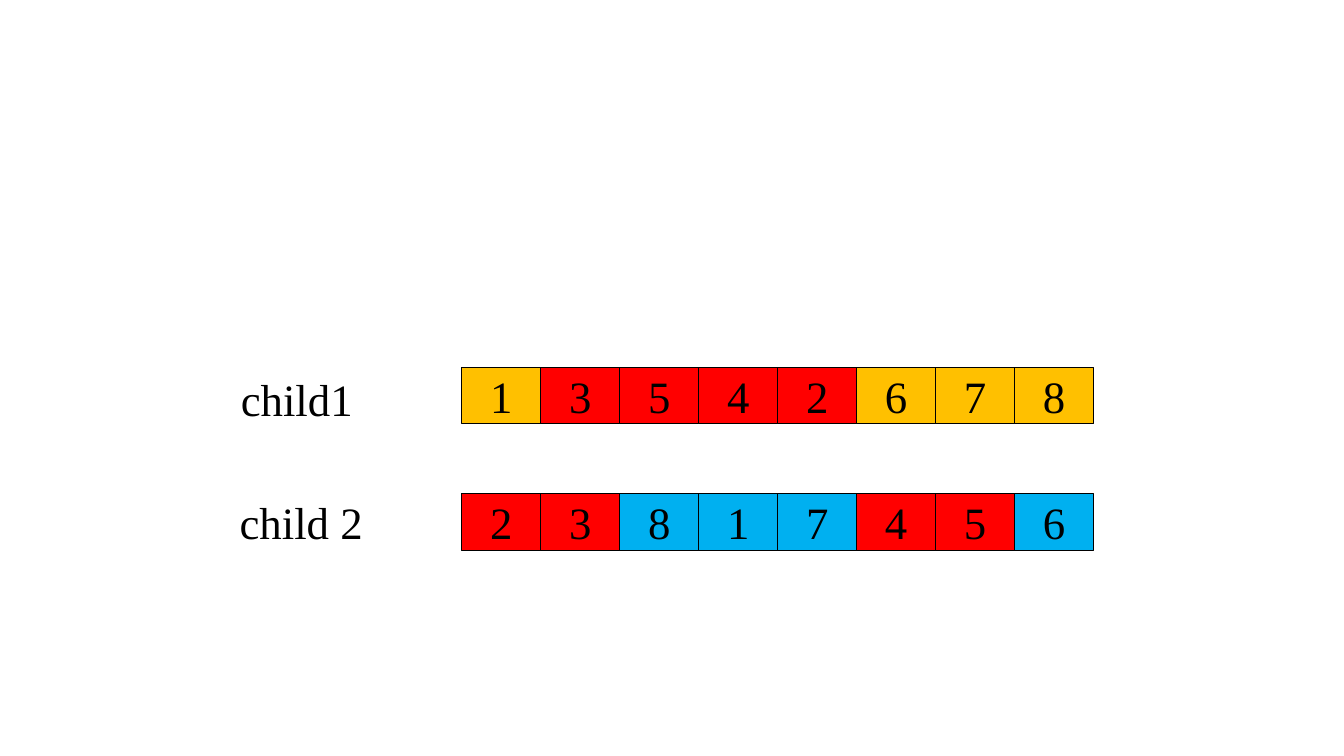
from pptx import Presentation
from pptx.dml.color import RGBColor
from pptx.enum.shapes import MSO_SHAPE as Shape
from pptx.enum.text import MSO_ANCHOR as Anchor, MSO_AUTO_SIZE as AutoSize, PP_ALIGN as Align
from pptx.util import Cm, Pt

RED, AMBER, BLUE, BLACK = "FF0000", "FFC000", "00B0F0", "000000"
FONT, TEXT_SIZE = "Times New Roman", 32

CHILDREN = [
    {
        "label": "child1", "label_box": (5.82, 9.25, 3.66, 1.63), "top": 9.25,
        "genes": "13542678", "red_genes": "3542", "other_color": AMBER,
    },
    {
        "label": "child 2", "label_box": (5.79, 12.34, 3.94, 1.63), "top": 12.44,
        "genes": "23817456", "red_genes": "2345", "other_color": BLUE,
    },
]
GENES_LEFT, GENE_WIDTH, GENE_HEIGHT = 11.64, 1.99, 1.43


def color(hex_value):
    return RGBColor.from_string(hex_value)


def write(shape, text, align):
    frame = shape.text_frame
    frame.text = text
    para = frame.paragraphs[0]
    para.alignment = align
    font = para.runs[0].font
    font.name, font.size = FONT, Pt(TEXT_SIZE)
    font.color.rgb = color(BLACK)
    return frame


def add_label(page, text, position):
    box = page.shapes.add_textbox(*map(Cm, position))
    frame = write(box, text, Align.LEFT)
    frame.word_wrap = False
    frame.auto_size = AutoSize.SHAPE_TO_FIT_TEXT


def add_gene(page, text, left, top, fill):
    gene = page.shapes.add_shape(
        Shape.RECTANGLE, Cm(left), Cm(top), Cm(GENE_WIDTH), Cm(GENE_HEIGHT))
    gene.shadow.inherit = False
    gene.fill.solid()
    gene.fill.fore_color.rgb = color(fill)
    gene.line.color.rgb = color(BLACK)
    gene.line.width = Pt(0.5)
    write(gene, text, Align.CENTER).vertical_anchor = Anchor.MIDDLE


def main():
    deck = Presentation()
    deck.slide_width, deck.slide_height = Cm(33.87), Cm(19.05)
    page = deck.slides.add_slide(deck.slide_layouts[6])
    for child in CHILDREN:
        add_label(page, child["label"], child["label_box"])
        for column, gene in enumerate(child["genes"]):
            fill = RED if gene in child["red_genes"] else child["other_color"]
            add_gene(page, gene, GENES_LEFT + column * GENE_WIDTH, child["top"], fill)
    deck.save("out.pptx")


if __name__ == "__main__":
    main()
